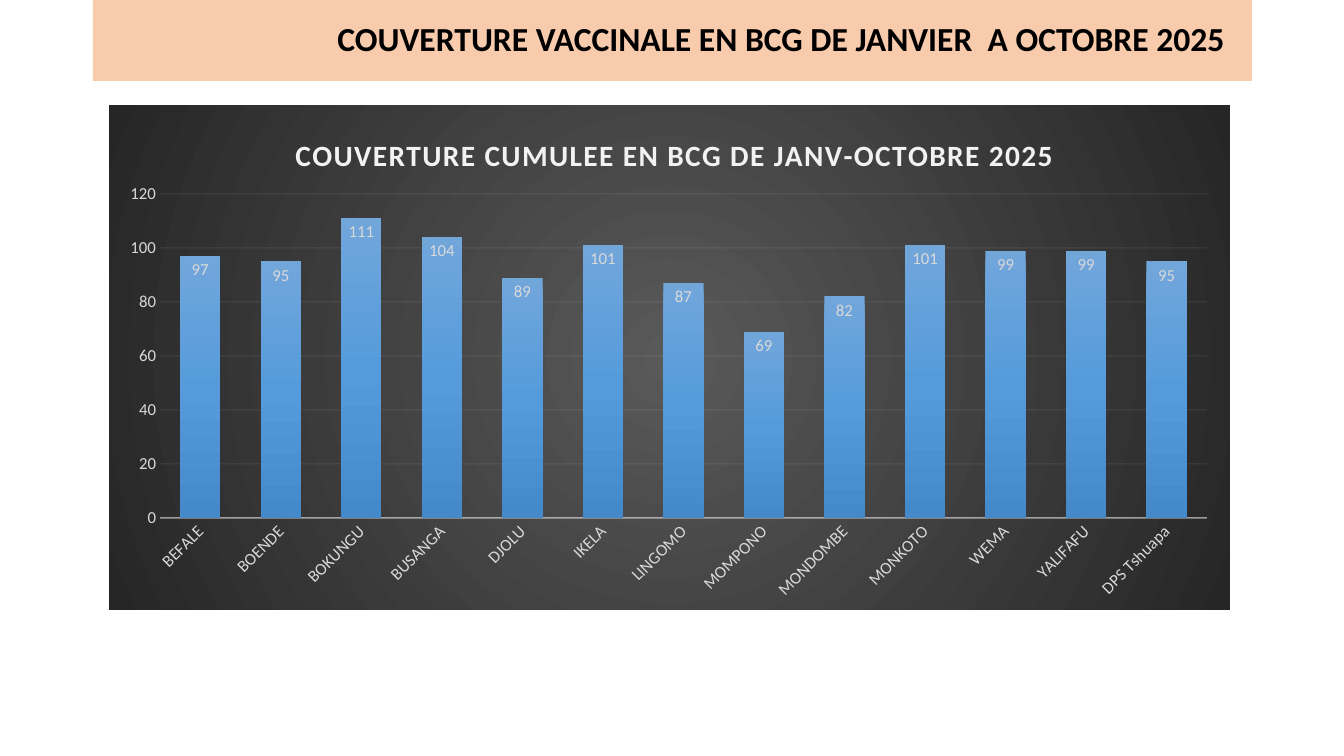
"""Build the slide on BCG vaccination coverage from January to October 2025."""
import lxml.etree
import pptx
import pptx.chart.data
import pptx.dml.color
import pptx.enum.chart
import pptx.enum.text
import pptx.oxml
import pptx.oxml.ns
import pptx.util

RGBColor = pptx.dml.color.RGBColor
qn = pptx.oxml.ns.qn

HEADING = "COUVERTURE VACCINALE EN BCG DE JANVIER  A OCTOBRE 2025"
CHART_TITLE = "COUVERTURE CUMULEE EN BCG DE JANV-OCTOBRE 2025"
COVERAGE = {
    "BEFALE": 97, "BOENDE": 95, "BOKUNGU": 111, "BUSANGA": 104,
    "DJOLU": 89, "IKELA": 101, "LINGOMO": 87, "MOMPONO": 69,
    "MONDOMBE": 82, "MONKOTO": 101, "WEMA": 99, "YALIFAFU": 99,
    "DPS Tshuapa": 95,
}

FONT = "Calibri"
BLACK = RGBColor(0x00, 0x00, 0x00)
PEACH = RGBColor(0xF8, 0xCB, 0xAD)
LIGHT = RGBColor(0xF2, 0xF2, 0xF2)
SILVER = RGBColor(0xD9, 0xD9, 0xD9)
AREA_STOPS = [(0, RGBColor(0x59, 0x59, 0x59)), (100, RGBColor(0x26, 0x26, 0x26))]
BAR_STOPS = [
    (0, RGBColor(0x71, 0xA6, 0xDB)),
    (50, RGBColor(0x55, 0x9B, 0xDB)),
    (100, RGBColor(0x44, 0x8A, 0xCA)),
]
AREA_SHADE = (
    '<a:path path="circle"><a:fillToRect l="50000" t="50000" r="50000" b="50000"/></a:path>'
)
BAR_SHADE = '<a:lin ang="5400000" scaled="0"/>'

PAGE_SIZE = (1344, 756)
HEADING_BOX = (93, 0, 1159, 81)
HEADING_INSET = 27
CHART_BOX = (109, 105, 1121, 505)
PLOT_BOX = (160, 194, 1047, 324)
CHART_TITLE_AT = (290, 129)

HEADING_FORMAT = {"name": FONT, "size": pptx.util.Pt(24), "bold": True}
TITLE_FORMAT = {"name": FONT, "size": pptx.util.Pt(21), "bold": True}
LABEL_FORMAT = {"name": FONT, "size": pptx.util.Pt(12), "bold": False}


def px(length):
    return round(length * 914400 / 100.8)


def set_font(font, values, color):
    for name, value in values.items():
        setattr(font, name, value)
    font.color.rgb = color


def place(shape, box):
    for name, length in zip(("left", "top", "width", "height"), box):
        setattr(shape, name, px(length))


def gradient(stops, shade):
    marks = "".join(
        f'<a:gs pos="{position * 1000}"><a:srgbClr val="{color}"/></a:gs>'
        for position, color in stops
    )
    return pptx.oxml.parse_xml(
        f'<a:gradFill {pptx.oxml.ns.nsdecls("a")} rotWithShape="1">'
        f"<a:gsLst>{marks}</a:gsLst>{shade}</a:gradFill>"
    )


def set_line(line, width, opacity):
    line.color.rgb = LIGHT
    line.width = pptx.util.Pt(width)
    color = next(line._ln.iter(qn("a:srgbClr")))
    lxml.etree.SubElement(color, qn("a:alpha")).set("val", str(opacity * 1000))


def manual_layout(box, inner=False):
    left, top, width, height = CHART_BOX
    values = {"layoutTarget": "inner"} if inner else {}
    values.update(xMode="edge", yMode="edge")
    shares = (
        (box[0] - left) / width,
        (box[1] - top) / height,
        *(length / whole for length, whole in zip(box[2:], (width, height))),
    )
    values.update(zip("xywh", (round(share, 4) for share in shares)))
    layout = pptx.oxml.parse_xml(f'<c:layout {pptx.oxml.ns.nsdecls("c")}/>')
    manual = lxml.etree.SubElement(layout, qn("c:manualLayout"))
    for name, value in values.items():
        lxml.etree.SubElement(manual, qn(f"c:{name}")).set("val", str(value))
    return layout


def replace_layout(parent, layout, after=None):
    for old in parent.findall(qn("c:layout")):
        parent.remove(old)
    if after is None:
        parent.insert(0, layout)
    else:
        after.addnext(layout)


def add_heading(page):
    box = page.shapes.title
    place(box, HEADING_BOX)
    box.fill.solid()
    box.fill.fore_color.rgb = PEACH
    frame = box.text_frame
    frame.text = HEADING
    frame.word_wrap = True
    frame.margin_right = px(HEADING_INSET)
    frame.vertical_anchor = pptx.enum.text.MSO_ANCHOR.MIDDLE
    para = frame.paragraphs[0]
    para.alignment = pptx.enum.text.PP_ALIGN.RIGHT
    para.line_spacing = 0.9
    set_font(para.runs[0].font, HEADING_FORMAT, BLACK)


def style_title(chart):
    title = chart.chart_title
    title.include_in_layout = False
    title.text_frame.text = CHART_TITLE
    span = title.text_frame.paragraphs[0].runs[0]
    set_font(span.font, TITLE_FORMAT, LIGHT)
    span._r.get_or_add_rPr().set("spc", "100")
    element = title._element
    replace_layout(element, manual_layout(CHART_TITLE_AT), element.find(qn("c:tx")))


def style_axes(chart):
    for axis in (chart.category_axis, chart.value_axis):
        axis.major_tick_mark = pptx.enum.chart.XL_TICK_MARK.NONE
        axis.minor_tick_mark = pptx.enum.chart.XL_TICK_MARK.NONE
        set_font(axis.tick_labels.font, LABEL_FORMAT, SILVER)
    names, scale = chart.category_axis, chart.value_axis
    set_line(names.format.line, 1, 54)
    next(names._element.iter(qn("a:bodyPr"))).set("rot", "-2700000")
    for name, value in {"minimum_scale": 0, "maximum_scale": 120, "major_unit": 20}.items():
        setattr(scale, name, value)
    scale.format.line.fill.background()
    scale.tick_labels.number_format = "0"
    scale.tick_labels.number_format_is_linked = False
    set_line(scale.major_gridlines.format.line, 0.75, 10)


def style_bars(plot):
    plot.gap_width = 100
    plot.overlap = -24
    plot.vary_by_categories = False
    series = plot.series[0]
    series.invert_if_negative = False
    series._element.get_or_add_spPr().append(gradient(BAR_STOPS, BAR_SHADE))
    labels = series.data_labels
    labels.show_value = True
    labels.position = pptx.enum.chart.XL_LABEL_POSITION.INSIDE_END
    labels.number_format = "0"
    labels.number_format_is_linked = False
    set_font(labels.font, LABEL_FORMAT, SILVER)


def add_coverage_chart(page):
    data = pptx.chart.data.CategoryChartData(number_format="0")
    data.categories = list(COVERAGE)
    data.add_series("Series 1", list(COVERAGE.values()))
    kind = pptx.enum.chart.XL_CHART_TYPE.COLUMN_CLUSTERED
    chart = page.shapes.add_chart(kind, *map(px, CHART_BOX), data).chart
    chart.has_legend = False
    set_font(chart.font, {"name": FONT, "size": pptx.util.Pt(10)}, BLACK)
    style_title(chart)
    style_axes(chart)
    style_bars(chart.plots[0])
    space = chart._chartSpace
    replace_layout(next(space.iter(qn("c:plotArea"))), manual_layout(PLOT_BOX, True))
    area = pptx.oxml.parse_xml(f'<c:spPr {pptx.oxml.ns.nsdecls("c", "a")}/>')
    area.append(gradient(AREA_STOPS, AREA_SHADE))
    outline = lxml.etree.SubElement(area, qn("a:ln"))
    lxml.etree.SubElement(outline, qn("a:noFill"))
    space.find(qn("c:txPr")).addprevious(area)


def main():
    deck = pptx.Presentation()
    deck.slide_width, deck.slide_height = map(px, PAGE_SIZE)
    page = deck.slides.add_slide(deck.slide_layouts[5])
    add_heading(page)
    add_coverage_chart(page)
    deck.save("out.pptx")


if __name__ == "__main__":
    main()
